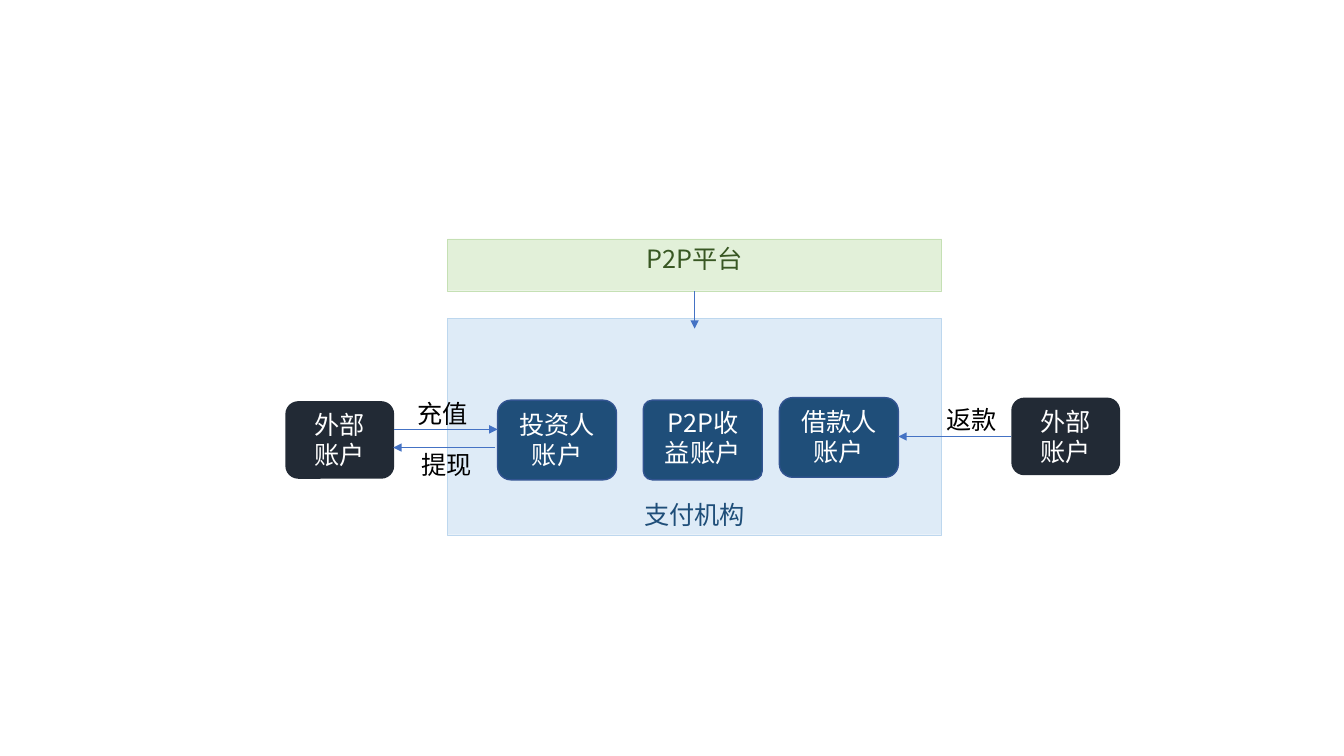
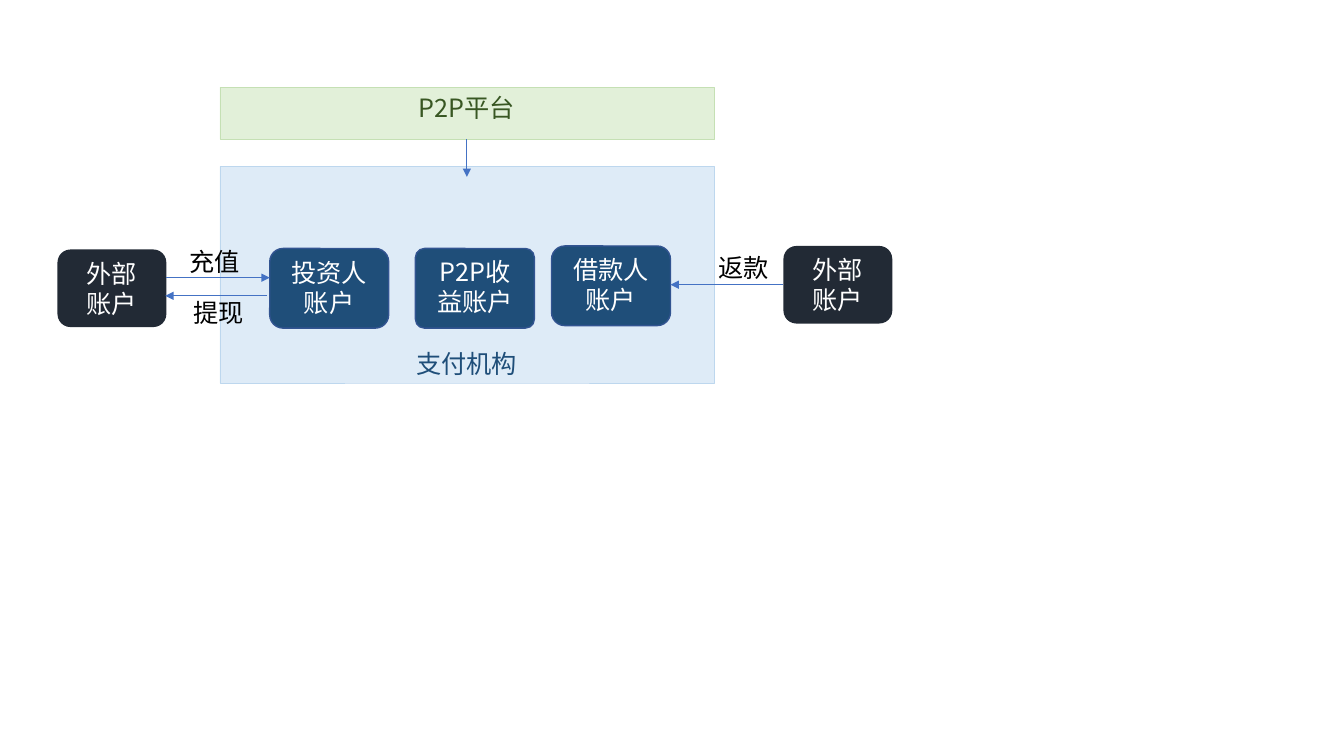
import pptx
import pptx.util
import pptx.dml.color
import pptx.enum.shapes
import pptx.enum.text
import pptx.oxml.ns
import lxml.etree

RGBColor = pptx.dml.color.RGBColor
Shape = pptx.enum.shapes.MSO_SHAPE
Anchor = pptx.enum.text.MSO_ANCHOR
Align = pptx.enum.text.PP_ALIGN

WHITE = RGBColor(0xFF, 0xFF, 0xFF)
BLACK = RGBColor(0x00, 0x00, 0x00)
NAVY = RGBColor(0x1F, 0x4E, 0x79)
NAVY_EDGE = RGBColor(0x32, 0x54, 0x91)
SLATE = RGBColor(0x22, 0x2A, 0x35)
PALE_BLUE = RGBColor(0xDE, 0xEB, 0xF7)
BLUE_EDGE = RGBColor(0xBD, 0xD7, 0xEE)
PALE_GREEN = RGBColor(0xE2, 0xF0, 0xD9)
GREEN_EDGE = RGBColor(0xC5, 0xE0, 0xB4)
DARK_GREEN = RGBColor(0x38, 0x57, 0x23)
ARROW_BLUE = RGBColor(0x44, 0x72, 0xC4)
FONT = "Noto Sans CJK SC"

# Grid cell: a tenth of an inch; the diagram is laid out from the platform's corner
CELL = pptx.util.Inches(0.1)
DIAGRAM_ORIGINS = [(44.4, 23.7), (21.8, 8.65)]
FRAME_WIDTH = 49
PLATFORM_HEIGHT = 5.15
ACCOUNT_SIZE = (11.8, 7.9)
EXTERNAL_SIZE = (10.8, 7.7)
LABEL_SIZE = (7.1, 4)

# Boxes: text, column, row, size, outline shape, fill, edge, edge width, text colour, anchor
ACCOUNT = (ACCOUNT_SIZE, Shape.ROUNDED_RECTANGLE, NAVY, NAVY_EDGE, 1, WHITE, Anchor.TOP)
EXTERNAL = (EXTERNAL_SIZE, Shape.ROUNDED_RECTANGLE, SLATE, None, 0, WHITE, Anchor.MIDDLE)
BOXES = [
    ("支付机构", 0, 7.85, (FRAME_WIDTH, 21.5), Shape.RECTANGLE,
     PALE_BLUE, BLUE_EDGE, 0.25, NAVY, Anchor.BOTTOM),
    ("P2P收益账户", 19.4, 16, *ACCOUNT),
    ("P2P平台", 0, 0, (FRAME_WIDTH, PLATFORM_HEIGHT), Shape.RECTANGLE,
     PALE_GREEN, GREEN_EDGE, 0.25, DARK_GREEN, Anchor.TOP),
    ("投资人账户", 4.95, 16, *ACCOUNT),
    ("借款人账户", 32.9, 15.75, *ACCOUNT),
    ("外部\n账户", 55.9, 15.75, *EXTERNAL),
    ("外部\n账户", -16.1, 16.1, *EXTERNAL),
]
CORNERS = {"P2P收益账户": 0.113}
LABELS = [("返款", 48.5, 15.9), ("充值", -4, 15.3), ("提现", -3.6, 20.4)]

# Arrows: start column and row, end column and row
ARROWS = [
    (55.9, 19.6, 44.7, 19.6),
    (-5.3, 18.9, 4.95, 18.9),
    (24.5, PLATFORM_HEIGHT, 24.5, 8.9),
    (4.7, 20.7, -5.4, 20.7),
]


def write_text(frame, text, colour=BLACK, align=Align.LEFT, anchor=Anchor.TOP, wrap=True):
    frame.word_wrap = wrap
    frame.vertical_anchor = anchor
    for index, line in enumerate(text.split("\n")):
        para = frame.paragraphs[0] if index == 0 else frame.add_paragraph()
        para.alignment = align
        para.line_spacing = pptx.util.Pt(21.5)
        span = para.add_run()
        span.text = line
        span.font.size = pptx.util.Pt(18)
        span.font.name = FONT
        span.font.color.rgb = colour
        east_asian = lxml.etree.SubElement(span.font._element, pptx.oxml.ns.qn("a:ea"))
        east_asian.set("typeface", FONT)


deck = pptx.Presentation()
deck.slide_width = pptx.util.Inches(13.33)
deck.slide_height = pptx.util.Inches(7.5)

for left, top in DIAGRAM_ORIGINS:
    page = deck.slides.add_slide(deck.slide_layouts[6])

    # Frames and accounts
    for text, column, row, size, outline, fill, edge, edge_width, colour, anchor in BOXES:
        place = (left + column, top + row, *size)
        box = page.shapes.add_shape(outline, *[int(cells * CELL) for cells in place])
        box.shadow.inherit = False
        box.fill.solid()
        box.fill.fore_color.rgb = fill
        if edge is None:
            box.line.fill.background()
        else:
            box.line.color.rgb = edge
            box.line.width = pptx.util.Pt(edge_width)
        if text in CORNERS:
            box.adjustments[0] = CORNERS[text]
        write_text(box.text_frame, text, colour=colour, align=Align.CENTER, anchor=anchor)

    # Flow labels
    for text, column, row in LABELS:
        place = (left + column, top + row, *LABEL_SIZE)
        label = page.shapes.add_textbox(*[int(cells * CELL) for cells in place])
        write_text(label.text_frame, text, wrap=False)

    # Flow arrows
    for start_column, start_row, end_column, end_row in ARROWS:
        ends = (left + start_column, top + start_row, left + end_column, top + end_row)
        arrow = page.shapes.add_connector(
            pptx.enum.shapes.MSO_CONNECTOR.STRAIGHT, *[int(cells * CELL) for cells in ends])
        arrow.line.color.rgb = ARROW_BLUE
        arrow.line.width = pptx.util.Pt(0.5)
        head = lxml.etree.SubElement(arrow.line._get_or_add_ln(), pptx.oxml.ns.qn("a:tailEnd"))
        head.set("type", "triangle")
        lxml.etree.SubElement(arrow._element.spPr, pptx.oxml.ns.qn("a:effectLst"))

deck.save("out.pptx")
